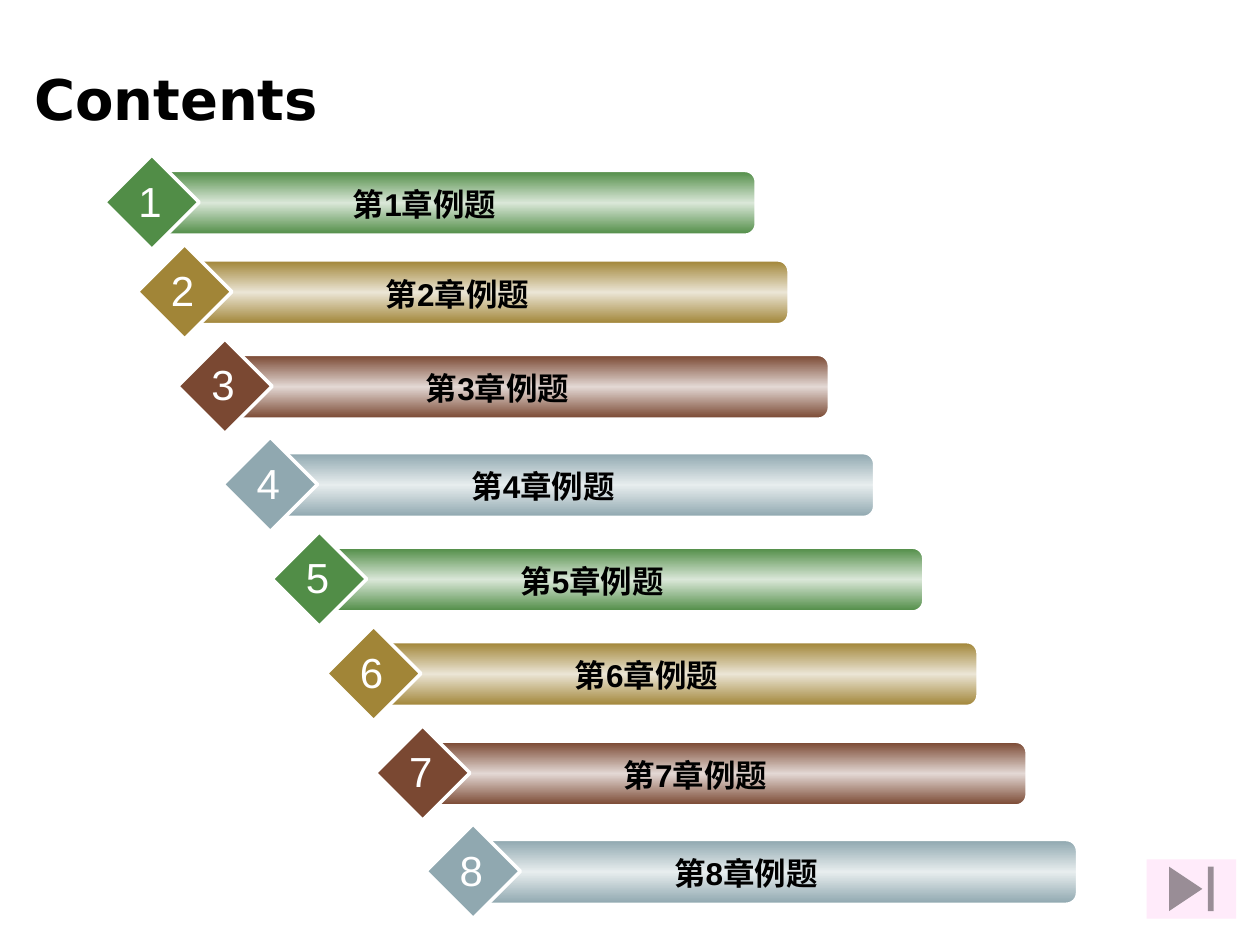
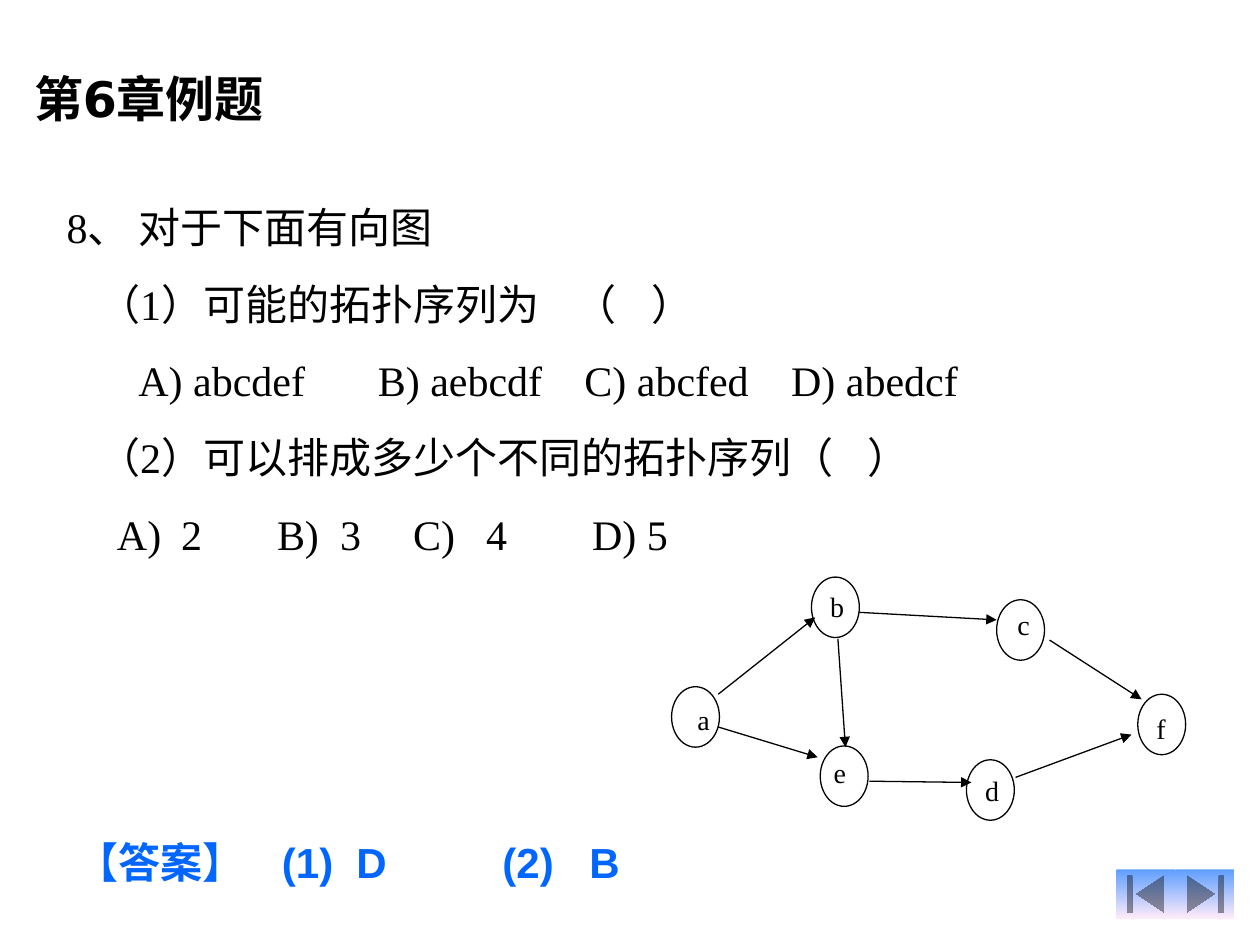
from dataclasses import dataclass

from lxml import etree
from pptx import Presentation
from pptx.dml.color import RGBColor
from pptx.enum.shapes import MSO_CONNECTOR, MSO_SHAPE
from pptx.enum.text import MSO_ANCHOR, MSO_AUTO_SIZE, PP_ALIGN
from pptx.oxml.ns import qn
from pptx.util import Inches, Pt

LEFT, CENTER = PP_ALIGN.LEFT, PP_ALIGN.CENTER
TOP, MIDDLE = MSO_ANCHOR.TOP, MSO_ANCHOR.MIDDLE
BAR, DIAMOND, NODE = MSO_SHAPE.ROUNDED_RECTANGLE, MSO_SHAPE.DIAMOND, MSO_SHAPE.OVAL
TO_END = MSO_SHAPE.ACTION_BUTTON_END
TO_BEGINNING = MSO_SHAPE.ACTION_BUTTON_BEGINNING
STRAIGHT = MSO_CONNECTOR.STRAIGHT
TITLE_ONLY = 5

# The slide is a grid of 100 columns by 75 rows
SLIDE_WIDTH, SLIDE_HEIGHT = Inches(10), Inches(7.5)
COLUMN, ROW = SLIDE_WIDTH / 100, SLIDE_HEIGHT / 75


@dataclass(frozen=True)
class Theme:
    black: str = "000000"
    white: str = "FFFFFF"
    answer: str = "0066FF"
    pink: str = "FFEBFA"
    blue: str = "5E9EFF"
    # Edge and middle colour of each bar, used in turn
    bars: tuple = (("518D47", "DAE7D8"), ("A18537", "EBE5D5"),
                   ("7A4832", "E3D8D4"), ("90A8B0", "E7EDEE"))
    title_font: str = "DejaVu Sans"
    label_font: str = "Arial"
    body_font: str = "Times New Roman"
    title_size: int = 32
    chapter_title_size: int = 28
    body_size: int = 24
    label_size: int = 18
    node_size: int = 16
    paragraph_gap: int = 15


THEME = Theme()

# Column and row of each chapter's diamond
CHAPTER_PLACES = [(8.3, 12.3), (10.9, 19.4), (14.1, 26.9), (17.7, 34.7),
                  (21.6, 42.2), (25.9, 49.7), (29.8, 57.6), (33.8, 65.4)]

# Each line with its tab stops in columns
QUESTION = [
    ("8、 对于下面有向图", ()),
    ("\t（1）可能的拓扑序列为\t（\t）", (2.5, 40.3, 46.4)),
    ("\tA) abcdef\tB) aebcdf\tC) abcfed\tD) abedcf", (5.7, 24.7, 41.1, 57.5)),
    ("\t（2）可以排成多少个不同的拓扑序列（\t）", (2.5, 63.6)),
    ("\tA)\t2\tB)\t3\tC)\t4\tD) 5", (4, 9.1, 16.7, 21.7, 27.5, 33.3, 41.7)),
]
ANSWER = [("【答案】\t(1)\tD\t(2)\tB", (16.3, 22.2, 33.8, 40.7))]

# Node name: place of its circle, place of its letter
NODES = {
    "a": ((53.3, 54.5), (54.7, 55.8)),
    "b": ((64.4, 45.8), (65.3, 46.8)),
    "c": ((79.1, 47.6), (80.1, 48.2)),
    "d": ((76.7, 60.3), (77.6, 61.4)),
    "e": ((65.1, 59.2), (65.5, 60)),
    "f": ((90.3, 55.1), (91, 56.5)),
}
# Start and arrow tip of each edge
EDGES = [
    ((57, 55.1), (64.7, 49)),       # a to b
    ((57, 57.7), (64.9, 60.1)),     # a to e
    ((68.2, 48.6), (79.1, 49.2)),   # b to c
    ((66.5, 50.7), (67.1, 59.3)),   # b to e
    ((83.3, 50.8), (90.6, 55.5)),   # c to f
    ((69, 62), (77.1, 62.1)),       # e to d
    ((80.6, 61.7), (89.8, 58.3)),   # d to f
]


def grid(column, row, *more):
    """Turn column and row counts into lengths."""
    return [round(count * unit) for count, unit
            in zip((column, row, *more), (COLUMN, ROW) * 2)]


def set_tabs(paragraph, stops):
    tab_list = etree.SubElement(paragraph._p.get_or_add_pPr(), qn("a:tabLst"))
    for stop in stops:
        etree.SubElement(tab_list, qn("a:tab"), pos=str(round(stop * COLUMN)), algn="l")


def write(shape, lines, *, font, size, color=THEME.black, bold=False, align=LEFT,
          anchor=TOP, wrap=True, inset=True, gap=0):
    """Fill a shape with text; lines is a string or (text, tab stops) pairs."""
    frame = shape.text_frame
    frame.auto_size = MSO_AUTO_SIZE.NONE
    frame.word_wrap = wrap
    frame.vertical_anchor = anchor
    if not inset:
        frame.margin_left = frame.margin_right = 0
        frame.margin_top = frame.margin_bottom = 0
    if isinstance(lines, str):
        lines = [(lines, ())]
    for index, (text, stops) in enumerate(lines):
        paragraph = frame.add_paragraph() if index else frame.paragraphs[0]
        if stops:
            set_tabs(paragraph, stops)
        paragraph.alignment = align
        if index and gap:
            paragraph.space_before = Pt(gap)
        run = paragraph.add_run()
        run.text = text
        run.font.name, run.font.size, run.font.bold = font, Pt(size), bold
        run.font.color.rgb = RGBColor.from_string(color)


def add_text(shapes, place, lines, **text_format):
    write(shapes.add_textbox(*grid(*place)), lines, **text_format)


def fill_gradient(shape, colors):
    """Spread the colours evenly from top to bottom."""
    shape.fill.gradient()
    shape.fill.gradient_angle = 270
    stops = shape._element.spPr.find(qn("a:gradFill")).find(qn("a:gsLst"))
    for stop in list(stops):
        stops.remove(stop)
    for index, color in enumerate(colors):
        position = 100000 * index // (len(colors) - 1)
        stop = etree.SubElement(stops, qn("a:gs"), pos=str(position))
        etree.SubElement(stop, qn("a:srgbClr"), val=color)


def add_shape(shapes, kind, place, *, fill=(), line=None, line_width=1):
    """Add a preset shape; several fill colours make a gradient."""
    shape = shapes.add_shape(kind, *grid(*place))
    shape.shadow.inherit = False
    if len(fill) > 1:
        fill_gradient(shape, fill)
    elif fill:
        shape.fill.solid()
        shape.fill.fore_color.rgb = RGBColor.from_string(fill[0])
    else:
        shape.fill.background()
    if line:
        shape.line.color.rgb = RGBColor.from_string(line)
        shape.line.width = Pt(line_width)
    else:
        shape.line.fill.background()
    return shape


def add_arrow(shapes, start, tip):
    arrow = shapes.add_connector(STRAIGHT, *grid(*start), *grid(*tip))
    arrow.line.color.rgb = RGBColor.from_string(THEME.black)
    arrow.line.width = Pt(0.75)
    etree.SubElement(arrow.line._get_or_add_ln(), qn("a:tailEnd"), type="triangle")
    etree.SubElement(arrow._element.spPr, qn("a:effectLst"))


def add_titled_slide(presentation, text, *, columns, size):
    slide = presentation.slides.add_slide(presentation.slide_layouts[TITLE_ONLY])
    title = slide.shapes.title
    title.left, title.top, title.width, title.height = grid(1.7, 4.7, columns, 6.2)
    write(title, text, font=THEME.title_font, size=size, bold=True, anchor=MIDDLE)
    return slide


def chapter_name(number):
    return f"第{number}章例题"


def add_chapter_bar(slide, number, column, row):
    """Add a gradient bar with a numbered diamond at its left end."""
    edge, middle = THEME.bars[(number - 1) % len(THEME.bars)]
    shapes = slide.shapes.add_group_shape().shapes
    add_shape(shapes, BAR, (column + 4.15, row + 1.3, 47.5, 5),
              fill=(edge, middle, edge), line=THEME.white)
    add_shape(shapes, DIAMOND, (column, row, 7.5, 7.5),
              fill=(edge,), line=THEME.white, line_width=2)
    add_text(shapes, (column + 6.65, row + 1.9, 37.5, 4), chapter_name(number),
             font=THEME.label_font, size=THEME.label_size, bold=True, align=CENTER)
    add_text(shapes, (column + 1.7, row + 1.1, 3.8, 5), str(number),
             font=THEME.label_font, size=THEME.body_size, color=THEME.white,
             align=CENTER, wrap=False)


def add_graph(slide):
    shapes = slide.shapes.add_group_shape().shapes
    for circle, _ in NODES.values():
        add_shape(shapes, NODE, (*circle, 3.8, 4.8), line=THEME.black, line_width=0.75)
    for start, tip in EDGES:
        add_arrow(shapes, start, tip)
    for name, (_, letter) in NODES.items():
        add_text(shapes, (*letter, 2.3, 2.7), name, font=THEME.body_font,
                 size=THEME.node_size, align=CENTER, inset=False)


def build_contents(presentation):
    slide = add_titled_slide(presentation, "Contents", columns=84.2,
                             size=THEME.title_size)
    for number, (column, row) in enumerate(CHAPTER_PLACES, start=1):
        add_chapter_bar(slide, number, column, row)
    add_shape(slide.shapes, TO_END, (91, 68.2, 7.1, 4.7), fill=(THEME.pink,))


def build_question(presentation):
    slide = add_titled_slide(presentation, chapter_name(6), columns=22.3,
                             size=THEME.chapter_title_size)
    add_text(slide.shapes, (4.3, 15.5, 92.5, 29.4), QUESTION, font=THEME.body_font,
             size=THEME.body_size, gap=THEME.paragraph_gap)
    add_text(slide.shapes, (5.1, 65.9, 91.7, 5), ANSWER, font=THEME.label_font,
             size=THEME.body_size, color=THEME.answer, bold=True)
    add_graph(slide)
    for kind, column in ((TO_END, 93.3), (TO_BEGINNING, 88.6)):
        add_shape(slide.shapes, kind, (column, 69, 4.7, 3.9),
                  fill=(THEME.blue, THEME.pink))


def main():
    presentation = Presentation()
    presentation.slide_width, presentation.slide_height = SLIDE_WIDTH, SLIDE_HEIGHT
    build_contents(presentation)
    build_question(presentation)
    presentation.save("out.pptx")


if __name__ == "__main__":
    main()
